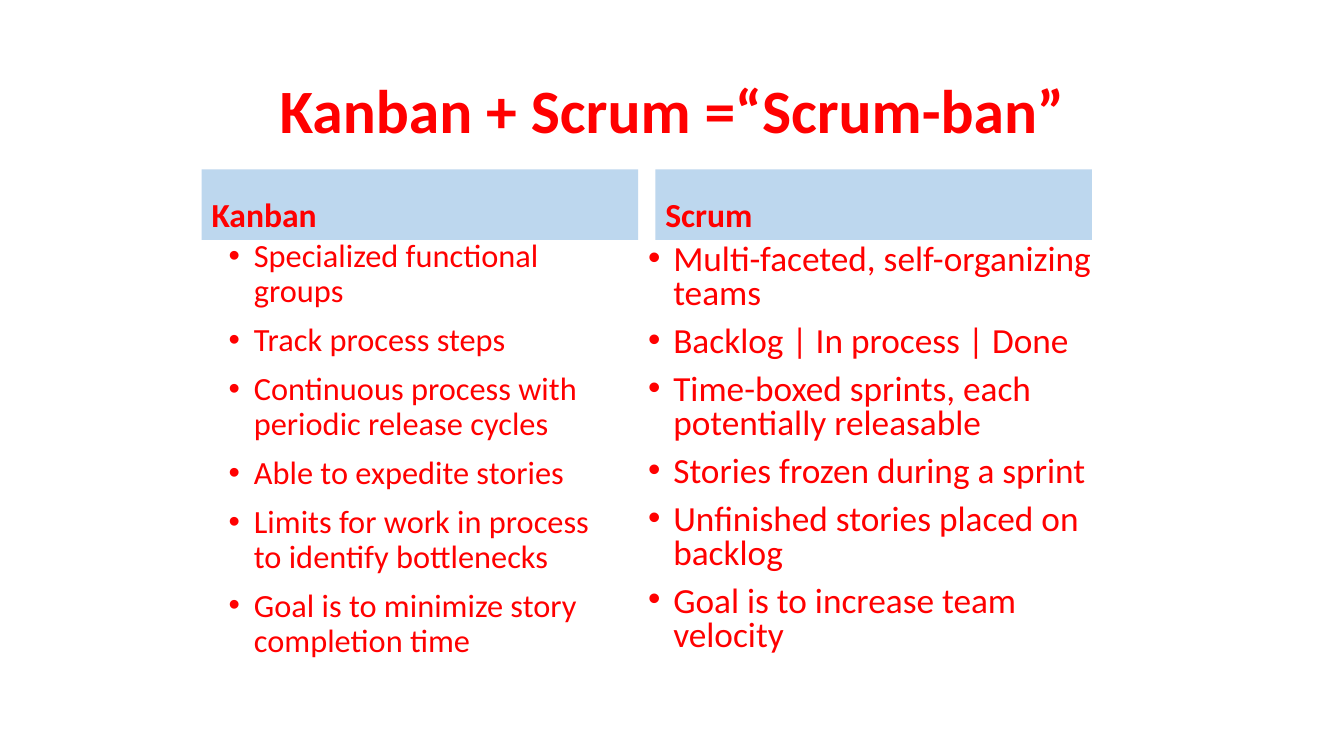
import pptx
import pptx.util
import pptx.dml.color
import pptx.enum.shapes
import pptx.enum.text
import pptx.oxml.ns
from lxml import etree

Inches = pptx.util.Inches
Pt = pptx.util.Pt
Anchor = pptx.enum.text.MSO_ANCHOR
Align = pptx.enum.text.PP_ALIGN

RED = pptx.dml.color.RGBColor(0xFF, 0x00, 0x00)
PALE_BLUE = pptx.dml.color.RGBColor(0xBD, 0xD7, 0xEE)

KANBAN_POINTS = [
    "Specialized functional groups",
    "Track process steps",
    "Continuous process with periodic release cycles",
    "Able to expedite stories",
    "Limits for work in process to identify bottlenecks",
    "Goal is to minimize story completion time",
]
SCRUM_POINTS = [
    "Multi-faceted, self-organizing teams",
    "Backlog | In process | Done",
    "Time-boxed sprints, each potentially releasable",
    "Stories frozen during a sprint",
    "Unfinished stories placed on backlog",
    "Goal is to increase team velocity",
]


class ComparisonSlide:
    font = "Calibri"
    color = RED
    header_fill = PALE_BLUE
    indent = Inches(0.25)

    def __init__(self, slide):
        self.shapes = slide.shapes

    def add_text(self, paragraph, text, size, bold=False, spacing=0.9, before=10):
        paragraph.line_spacing = spacing
        paragraph.space_before = Pt(before)
        run = paragraph.add_run()
        run.text = text
        run.font.name = self.font
        run.font.size = Pt(size)
        run.font.bold = bold
        run.font.color.rgb = self.color

    def text_frame(self, left, top, width, height):
        box = self.shapes.add_textbox(
            Inches(left), Inches(top), Inches(width), Inches(height))
        box.text_frame.word_wrap = True
        return box.text_frame

    def title(self, text):
        frame = self.text_frame(0.92, 0.4, 11.5, 1.45)
        frame.vertical_anchor = Anchor.MIDDLE
        heading = frame.paragraphs[0]
        heading.alignment = Align.CENTER
        self.add_text(heading, text, 44, bold=True, before=0)

    def header(self, text, left):
        band = self.shapes.add_shape(
            pptx.enum.shapes.MSO_SHAPE.RECTANGLE,
            Inches(left), Inches(1.68), Inches(4.33), Inches(0.7))
        band.shadow.inherit = False
        band.fill.solid()
        band.fill.fore_color.rgb = self.header_fill
        band.line.fill.background()
        frame = band.text_frame
        frame.word_wrap = True
        frame.vertical_anchor = Anchor.BOTTOM
        label = frame.paragraphs[0]
        label.alignment = Align.LEFT
        self.add_text(label, text, 24, bold=True)

    def bullets(self, points, left, top, width, size, spacing):
        frame = self.text_frame(left, top, width, 4.32)
        for index, point in enumerate(points):
            item = frame.add_paragraph() if index else frame.paragraphs[0]
            self.add_text(item, point, size, spacing=spacing)
            self.add_bullet(item)

    def add_bullet(self, paragraph):
        """Give the paragraph a round bullet with a hanging indent."""
        properties = paragraph._p.get_or_add_pPr()
        properties.set("marL", str(self.indent))
        properties.set("indent", str(-self.indent))
        bullet_font = etree.SubElement(properties, pptx.oxml.ns.qn("a:buFont"))
        bullet_font.set("typeface", "Arial")
        bullet = etree.SubElement(properties, pptx.oxml.ns.qn("a:buChar"))
        bullet.set("char", "•")


def main():
    deck = pptx.Presentation()
    deck.slide_width = Inches(13.33)
    deck.slide_height = Inches(7.5)
    comparison = ComparisonSlide(deck.slides.add_slide(deck.slide_layouts[6]))

    comparison.title("Kanban + Scrum =“Scrum-ban”")
    comparison.header("Kanban", 2)
    comparison.bullets(KANBAN_POINTS, 2.17, 2.33, 4, size=23.1, spacing=0.9)
    comparison.header("Scrum", 6.5)
    comparison.bullets(SCRUM_POINTS, 6.33, 2.38, 4.67, size=25.2, spacing=0.8)

    deck.save("out.pptx")


if __name__ == "__main__":
    main()
